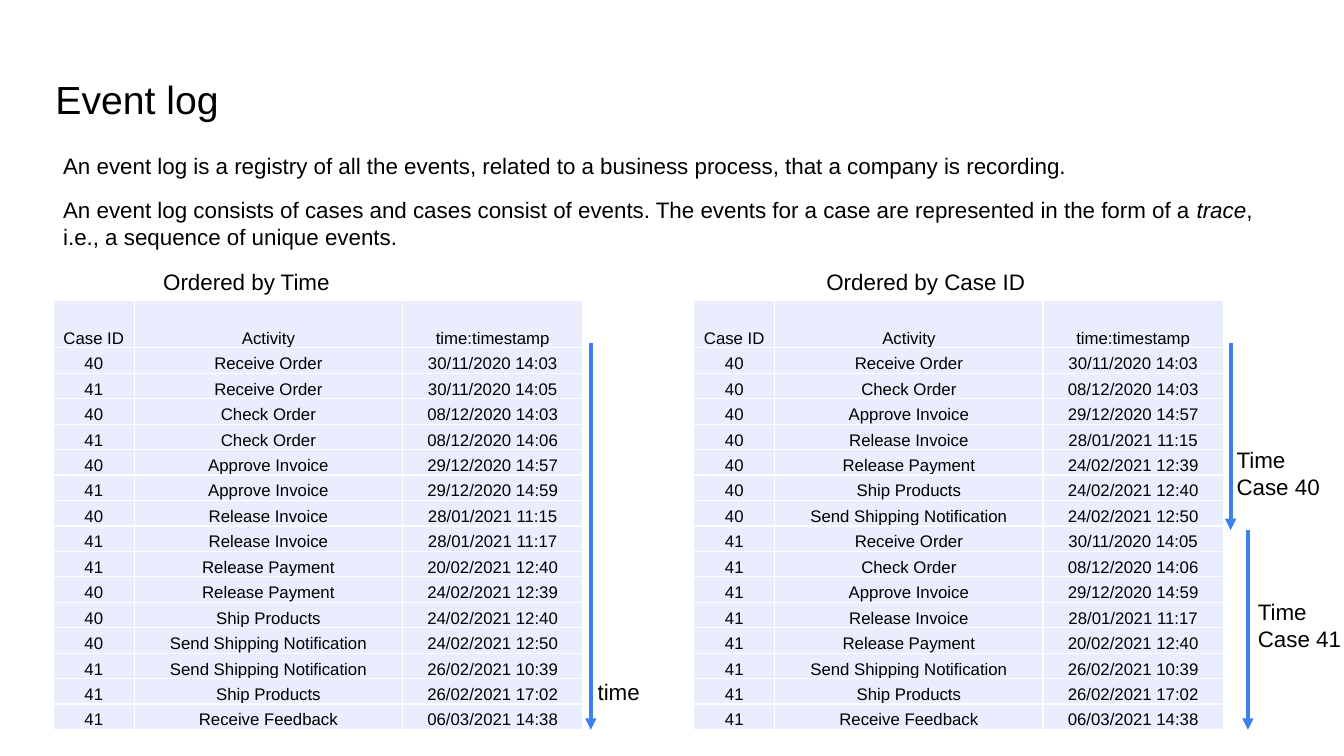
"""Build the slide that shows one event log ordered by time and by case."""
from lxml.etree import SubElement
from pptx import Presentation
from pptx.dml.color import RGBColor
from pptx.enum.shapes import MSO_CONNECTOR as Connector
from pptx.enum.text import MSO_ANCHOR as Anchor, MSO_AUTO_SIZE as AutoSize, PP_ALIGN as Align
from pptx.oxml.ns import qn
from pptx.util import Pt

BLACK = RGBColor(0x00, 0x00, 0x00)
WHITE = RGBColor(0xFF, 0xFF, 0xFF)
LAVENDER = RGBColor(0xE9, 0xED, 0xFD)
BLUE = RGBColor(0x3C, 0x81, 0xF3)

TABLE_TOP, HEADER_HEIGHT, ROW_HEIGHT = 214.5, 34, 18.18
COLUMN_WIDTHS = (58, 191.5, 129)
HEADINGS = ("Case ID", "Activity", "time:timestamp")
EVENTS = [
    ("40", "Receive Order", "30/11/2020 14:03"),
    ("41", "Receive Order", "30/11/2020 14:05"),
    ("40", "Check Order", "08/12/2020 14:03"),
    ("41", "Check Order", "08/12/2020 14:06"),
    ("40", "Approve Invoice", "29/12/2020 14:57"),
    ("41", "Approve Invoice", "29/12/2020 14:59"),
    ("40", "Release Invoice", "28/01/2021 11:15"),
    ("41", "Release Invoice", "28/01/2021 11:17"),
    ("41", "Release Payment", "20/02/2021 12:40"),
    ("40", "Release Payment", "24/02/2021 12:39"),
    ("40", "Ship Products", "24/02/2021 12:40"),
    ("40", "Send Shipping Notification", "24/02/2021 12:50"),
    ("41", "Send Shipping Notification", "26/02/2021 10:39"),
    ("41", "Ship Products", "26/02/2021 17:02"),
    ("41", "Receive Feedback", "06/03/2021 14:38"),
]


def apply(target, values):
    for name, value in values.items():
        setattr(target, name, value)


class EventLogSlide:
    def __init__(self, deck):
        self.slide = deck.slides.add_slide(deck.slide_layouts[5])
        self.font = {"name": "Arial", "size": Pt(16)}
        self.cell = {"vertical_anchor": Anchor.BOTTOM, "margin_left": Pt(0.72),
                     "margin_right": Pt(0.72), "margin_top": Pt(0.72), "margin_bottom": Pt(0)}

    def add_runs(self, paragraph, runs, **changes):
        for words, italic in runs:
            run = paragraph.add_run()
            run.text = words
            apply(run.font, {**self.font, "italic": italic, **changes})
            run.font.color.rgb = BLACK

    def title(self, words, left, top, width, height):
        heading = self.slide.shapes.title
        apply(heading, {"left": Pt(left), "top": Pt(top), "width": Pt(width), "height": Pt(height)})
        margins = dict.fromkeys(
            ("margin_left", "margin_right", "margin_top", "margin_bottom"), Pt(7.2))
        apply(heading.text_frame, {**margins, "vertical_anchor": Anchor.TOP,
                                   "word_wrap": True, "auto_size": AutoSize.NONE})
        paragraph = heading.text_frame.paragraphs[0]
        paragraph.alignment = Align.LEFT
        self.add_runs(paragraph, [(words, None)], size=Pt(28))

    def text(self, paragraphs, left, top, width, height, wrap=True, gap=0):
        box = self.slide.shapes.add_textbox(Pt(left), Pt(top), Pt(width), Pt(height))
        frame = box.text_frame
        apply(frame, {"word_wrap": wrap, "auto_size": AutoSize.SHAPE_TO_FIT_TEXT})
        for index, runs in enumerate(paragraphs):
            paragraph = frame.add_paragraph() if index else frame.paragraphs[0]
            if index and gap:
                paragraph.space_before = Pt(gap)
            self.add_runs(paragraph, runs)

    def label(self, lines, left, top, width, height, wrap=False):
        self.text([[(line, None)] for line in lines], left, top, width, height, wrap)

    def border(self, cell):
        properties = cell._tc.get_or_add_tcPr()
        for side in ("a:lnL", "a:lnR", "a:lnT", "a:lnB"):
            line = SubElement(properties, qn(side), w=str(Pt(1)))
            fill = SubElement(line, qn("a:solidFill"))
            SubElement(fill, qn("a:srgbClr"), val=str(WHITE))

    def table(self, events, left):
        rows = [HEADINGS, *events]
        height = HEADER_HEIGHT + ROW_HEIGHT * len(events)
        log = self.slide.shapes.add_table(
            len(rows), len(HEADINGS), Pt(left), Pt(TABLE_TOP),
            Pt(sum(COLUMN_WIDTHS)), Pt(height)).table
        apply(log, {"first_row": False, "horz_banding": False})
        for column, width in zip(log.columns, COLUMN_WIDTHS):
            column.width = Pt(width)
        for index, values in enumerate(rows):
            log.rows[index].height = Pt(ROW_HEIGHT if index else HEADER_HEIGHT)
            for position, value in enumerate(values):
                cell = log.cell(index, position)
                apply(cell, self.cell)
                self.border(cell)
                cell.fill.solid()
                cell.fill.fore_color.rgb = LAVENDER
                paragraph = cell.text_frame.paragraphs[0]
                paragraph.alignment = Align.CENTER
                self.add_runs(paragraph, [(value, None)], size=Pt(12))

    def arrow(self, x, start, end):
        arrow = self.slide.shapes.add_connector(
            Connector.STRAIGHT, Pt(x), Pt(start), Pt(x), Pt(end))
        arrow.line.width = Pt(2.75)
        arrow.line.color.rgb = BLUE
        SubElement(arrow.line._get_or_add_ln(), qn("a:tailEnd"), type="triangle")
        SubElement(arrow._element.spPr, qn("a:effectLst"))


def main():
    deck = Presentation()
    apply(deck, {"slide_width": Pt(960), "slide_height": Pt(540)})
    page = EventLogSlide(deck)
    page.title("Event log", 32.4, 46.8, 894.2, 60.5)
    page.table(sorted(EVENTS, key=lambda event: event[0]), 495.5)
    page.table(EVENTS, 38)
    page.label(["Ordered by Time"], 109.5, 188, 181.5, 26.6, wrap=True)
    page.label(["Ordered by Case ID"], 583.2, 188, 181.5, 26.6, wrap=True)
    for x, start, end in ((422, 245, 521.3), (879, 245, 378.7), (891.4, 378.7, 521.3)):
        page.arrow(x, start, end)
    page.label(["time"], 419.8, 481, 45.4, 26.6)
    page.label(["Time", "Case 40"], 876.2, 315.4, 74.9, 46)
    page.label(["Time", "Case 41"], 891.4, 424, 74.9, 46)
    page.text([
        [("An event log is a registry of all the events, related to a business process, "
          "that a company is recording.", None)],
        [("An event log consists of cases and cases consist of events. The events for a case "
          "are represented in the form of a ", None), ("trace", True),
         (", i.e., a sequence of unique events.", None)],
    ], 38, 105.1, 887, 77.8, gap=12.5)
    deck.save("out.pptx")


if __name__ == "__main__":
    main()
